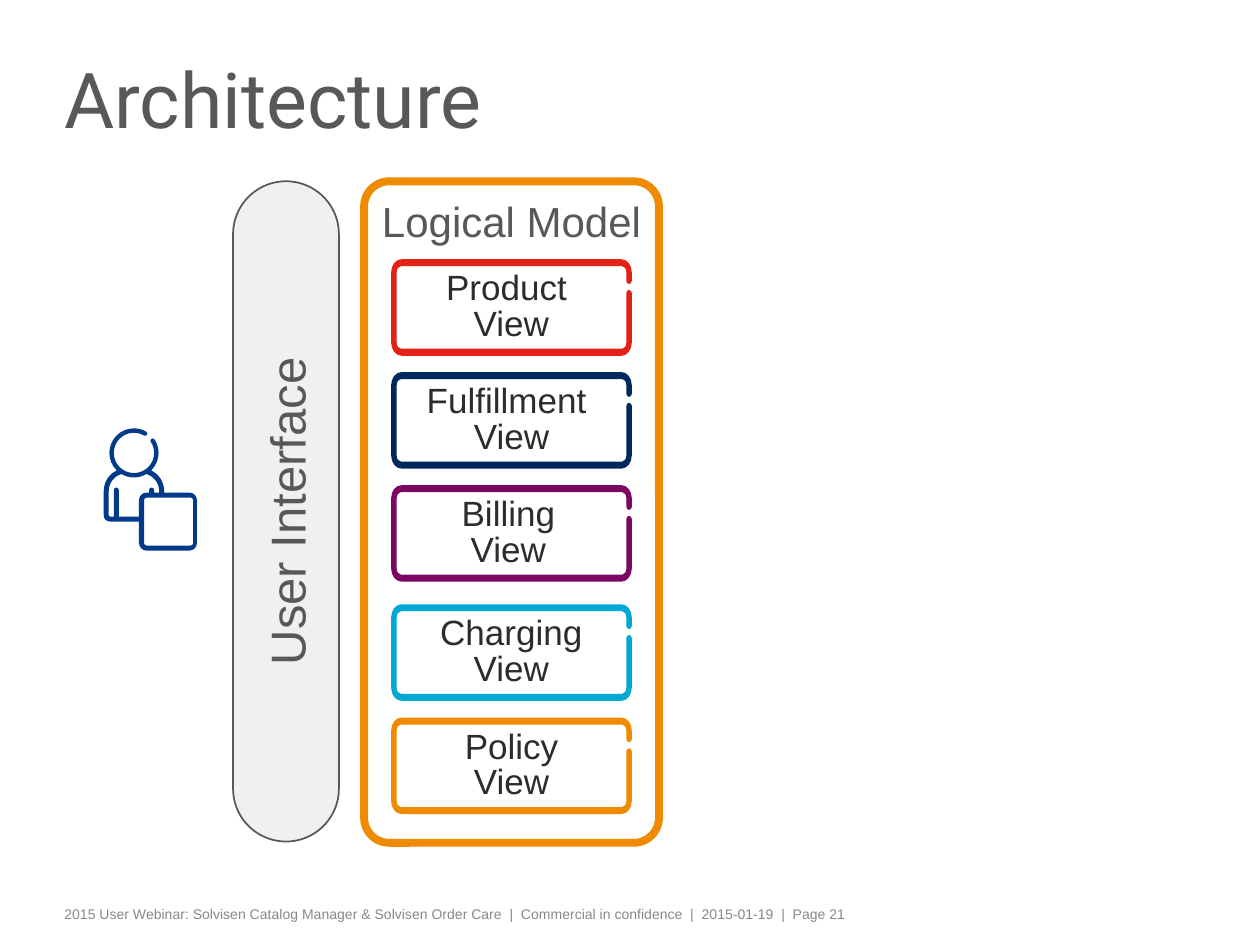
from math import ceil, cos, floor, radians, sin, tan
from typing import NamedTuple

from lxml import etree
from pptx import Presentation
from pptx.dml.color import RGBColor
from pptx.enum.shapes import MSO_SHAPE
from pptx.enum.text import MSO_ANCHOR, PP_ALIGN
from pptx.oxml.ns import qn
from pptx.util import Pt

ROUND_RECT = MSO_SHAPE.ROUNDED_RECTANGLE
TOP, MIDDLE = MSO_ANCHOR.TOP, MSO_ANCHOR.MIDDLE
LEFT, CENTER = PP_ALIGN.LEFT, PP_ALIGN.CENTER

COLORS = {
    "white": "FFFFFF", "gray": "58585A", "footer": "87888A", "text": "2C2C2D",
    "panel": "EFF0F0", "user": "003A88", "red": "E32119", "navy": "00285F",
    "purple": "7B0663", "cyan": "00A9D4", "orange": "F08A00",
}


class Box(NamedTuple):
    left: float
    top: float
    width: float
    height: float


class Arc(NamedTuple):
    """Elliptic arc in degrees, clockwise; zero radii give a plain corner."""
    x: float
    y: float
    rx: float = 0
    ry: float = 0
    start: float = 0
    end: float = 0


class View(NamedTuple):
    label: str
    color: str
    top: float
    label_left: float
    label_width: float


class TextStyle(NamedTuple):
    size: float
    color: str
    font: str = "Arial"
    align: PP_ALIGN = CENTER
    anchor: MSO_ANCHOR = MIDDLE
    spacing: float = 1.0
    wrap: bool = True
    inset_x: float = 5.76
    inset_y: float = 3.6


VIEWS = [
    View("Product \vView", "red", 148.1, 240, 104.4),
    View("Fulfillment \vView", "navy", 212.6, 223.5, 137.5),
    View("Billing\vView", "purple", 277.2, 238.3, 104.4),
    View("Charging\vView", "cyan", 345.3, 240, 104.4),
    View("Policy\vView", "orange", 410, 231.8, 121),
]
FRAME_LEFT = 223.5
VIEW_STYLE = TextStyle(20, "text", spacing=0.85)

# View frame: outer top edge, cap, inner edge, cap, outer bottom edge
FRAME = [[
    Arc(6, 7.5, 6, 7.5, 180, 270),
    Arc(131.5, 7.5, 6, 7.5, 270, 360),
    Arc(135.95, 12.4, 1.55, 1.8, 0, 180),
    Arc(132, 7.5, 2.4, 3.5, 0, -90),
    Arc(5.6, 7.5, 2.4, 3.5, 270, 180),
    Arc(5.6, 47.7, 2.4, 3.5, 180, 90),
    Arc(132, 47.7, 2.4, 3.5, 90, 0),
    Arc(135.95, 19.4, 1.55, 1.8, 180, 360),
    Arc(131.5, 47.7, 6, 7.5, 0, 90),
    Arc(6, 47.7, 6, 7.5, 90, 180),
]]

# User icon, in hundredths of an inch
USER_ICON = [
    [  # Silhouette, running round the open head ring
        Arc(68, 57, 6, 6, -90, 0), Arc(68, 91, 6, 6, 0, 90),
        Arc(34, 91, 6, 6, 90, 180), Arc(28, 74),
        Arc(5, 69, 5, 5, 90, 180), Arc(17, 50, 17, 18, 180, 250),
        Arc(24, 19.5, 19.5, 19.5, 135, 300), Arc(32.9, 4.1, 1.8, 1.8, 300, 480),
        Arc(24, 19.5, 16, 16, 300, -33), Arc(38.9, 9.8, 1.8, 1.8, 147, 327),
        Arc(24, 19.5, 19.5, 19.5, -33, 45), Arc(31, 50, 17, 18, 290, 360),
        Arc(48, 51),
    ],
    [  # Inside of the body, with the two arm lines
        Arc(28, 70), Arc(12, 70), Arc(10, 49, 2, 2, 360, 180), Arc(8, 70),
        Arc(5, 69, 1, 1, 90, 180), Arc(17, 50, 13, 14, 180, 256),
        Arc(24, 20, 19, 19, 122, 58), Arc(31, 50, 13, 14, 284, 360),
        Arc(44, 51), Arc(40, 51), Arc(38, 49, 2, 2, 360, 180), Arc(36, 51),
        Arc(34, 57, 6, 6, 270, 180),
    ],
    [  # Inside of the square
        Arc(34, 57, 2, 2, 180, 270), Arc(69, 57, 2, 2, 270, 360),
        Arc(69, 91, 2, 2, 0, 90), Arc(34, 91, 2, 2, 90, 180),
    ],
]


def rgb(name: str) -> RGBColor:
    return RGBColor.from_string(COLORS[name])


def curve_points(arc: Arc) -> list[tuple[float, float]]:
    """Start point, then three Bezier points for each part of a quadrant."""
    def at(angle: float, handle: float = 0) -> tuple[float, float]:
        c, n = cos(radians(angle)), sin(radians(angle))
        return arc.x + arc.rx * (c - handle * n), arc.y + arc.ry * (n + handle * c)

    low, high = sorted((arc.start, arc.end))
    stops = [low, *(90 * q for q in range(floor(low / 90) + 1, ceil(high / 90))), high]
    if arc.start > arc.end:
        stops.reverse()
    points = [at(arc.start)]
    if arc.rx:
        for a, b in zip(stops, stops[1:]):
            k = 4 / 3 * tan(radians(b - a) / 4)
            points += [at(a, k), at(b, -k), at(b)]
    return points


def contour_points(contour: list[Arc]) -> list[tuple[float, float]]:
    points = []
    for arc in contour:
        start, *rest = curve_points(arc)
        points += ([start] * 3 if points else [start]) + rest
    return points


def lines_to_curves(sp) -> None:
    """Join each three line segments into one cubic curve."""
    lines = list(sp._element.iter(qn("a:lnTo")))
    for first, second, third in zip(lines[::3], lines[1::3], lines[2::3]):
        curve = etree.Element(qn("a:cubicBezTo"))
        first.addprevious(curve)
        for line in (first, second, third):
            curve.append(line[0])
            line.getparent().remove(line)


def draw_outline(s, contours: list[list[Arc]], left: float, top: float,
                 color: str, scale: float = 1) -> None:
    paths = [[(Pt(left + x * scale), Pt(top + y * scale))
              for x, y in contour_points(contour)] for contour in contours]
    builder = s.shapes.build_freeform(*paths[0][0])
    for i, path in enumerate(paths):
        if i:
            builder.move_to(*path[0])
        builder.add_line_segments(path[1:], close=True)
    sp = builder.convert_to_shape()
    lines_to_curves(sp)
    sp.shadow.inherit = False
    sp.fill.solid()
    sp.fill.fore_color.rgb = rgb(color)
    sp.line.fill.background()


def set_text(sp, text: str, style: TextStyle) -> None:
    tf = sp.text_frame
    tf.word_wrap = style.wrap
    tf.vertical_anchor = style.anchor
    tf.margin_left = tf.margin_right = Pt(style.inset_x)
    tf.margin_top = tf.margin_bottom = Pt(style.inset_y)
    p = tf.paragraphs[0]
    p.text = text
    p.alignment = style.align
    p.line_spacing = style.spacing
    p.font.size = Pt(style.size)
    p.font.name = style.font
    p.font.color.rgb = rgb(style.color)


def draw_text(s, box: Box, text: str, style: TextStyle) -> None:
    set_text(s.shapes.add_textbox(*map(Pt, box)), text, style)


def draw_panel(s, box: Box, radius: float, fill: str, line: str, width: float):
    sp = s.shapes.add_shape(ROUND_RECT, *map(Pt, box))
    sp.adjustments[0] = radius
    sp.shadow.inherit = False
    sp.fill.solid()
    sp.fill.fore_color.rgb = rgb(fill)
    sp.line.color.rgb = rgb(line)
    sp.line.width = Pt(width)
    return sp


def main() -> None:
    prs = Presentation()
    prs.slide_width, prs.slide_height = Pt(720), Pt(540)
    s = prs.slides.add_slide(prs.slide_layouts[6])
    # Footer and title
    draw_text(s, Box(31, 514, 582.5, 17.3),
              "2015 User Webinar: Solvisen Catalog Manager & Solvisen Order Care"
              "  |  Commercial in confidence  |  2015-01-19  |  Page 21",
              TextStyle(8, "footer", align=LEFT, anchor=TOP))
    draw_text(s, Box(31, 18.7, 590.4, 85.7), "Architecture",
              TextStyle(44, "gray", "Roboto", LEFT, spacing=0.75, inset_y=0))
    # User
    draw_outline(s, USER_ICON, 59.3, 244.8, "user", 0.72)
    # Logical model with its views
    draw_panel(s, Box(208.1, 103.6, 168.5, 378), 0.085, "white", "orange", 4.5)
    for view in VIEWS:
        draw_outline(s, FRAME, FRAME_LEFT, view.top, view.color)
        draw_text(s, Box(view.label_left, view.top + 3.8, view.label_width, 48.2),
                  view.label, VIEW_STYLE)
    draw_text(s, Box(210.2, 112.3, 164.2, 31.7), "Logical Model",
              TextStyle(24, "gray", spacing=0.85, wrap=False, inset_x=7.2))
    # User interface, reading upwards
    sp = draw_panel(s, Box(133.2, 103.6, 60.5, 377.3), 0.5, "panel", "gray", 1)
    set_text(sp, "User Interface", TextStyle(28, "gray", wrap=False))
    sp.text_frame._txBody.bodyPr.set("vert", "vert270")
    prs.save("out.pptx")


if __name__ == "__main__":
    main()
